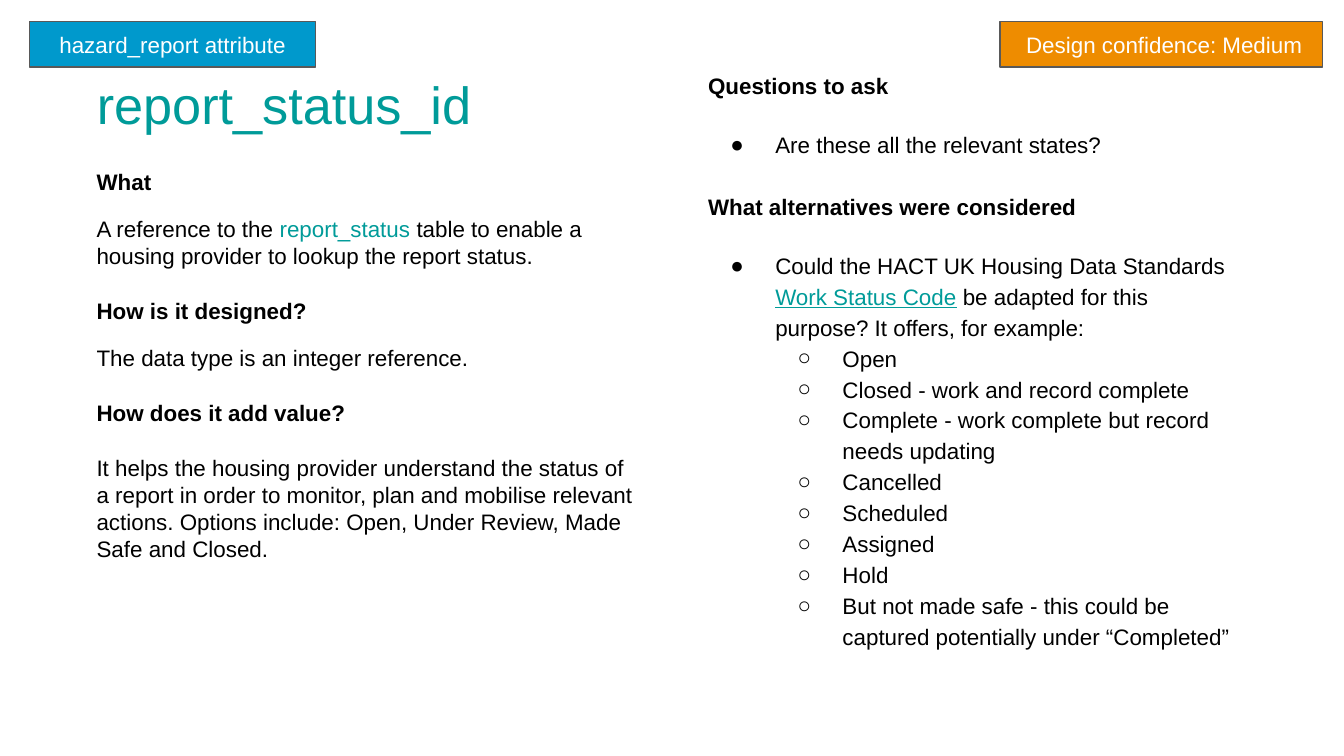
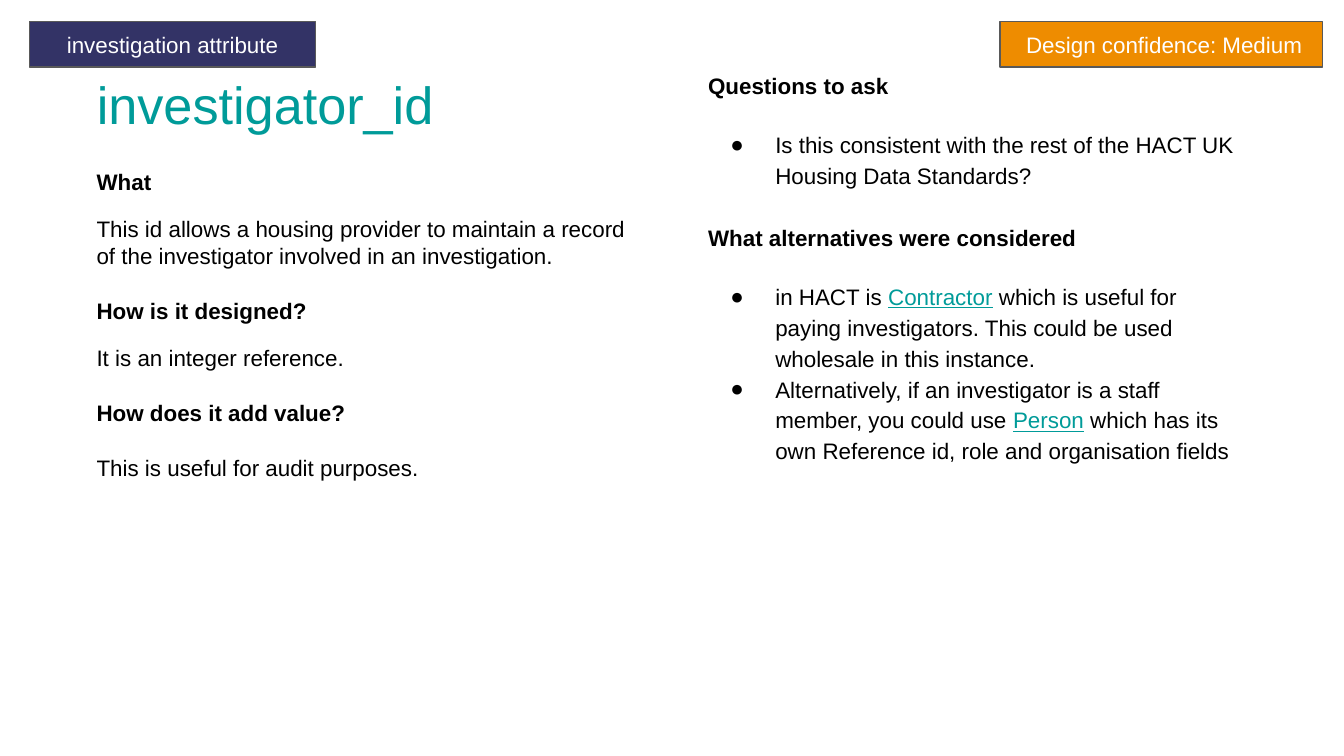
from dataclasses import dataclass

from lxml.etree import SubElement
from pptx import Presentation
from pptx.dml.color import RGBColor
from pptx.enum.shapes import MSO_SHAPE
from pptx.enum.text import MSO_ANCHOR, MSO_AUTO_SIZE, PP_ALIGN
from pptx.oxml.ns import qn
from pptx.util import Pt

FONT = "Arial"
TEXT_SIZE = 12
TITLE_SIZE = 28
INSET = Pt(7.2)
BULLETS = "●○"
BULLET_INDENT = 36
BULLET_HANG = 24
LIST_SPACING = 1.15

BLACK = RGBColor(0x00, 0x00, 0x00)
WHITE = RGBColor(0xFF, 0xFF, 0xFF)
TEAL = RGBColor(0x00, 0x9B, 0x99)
ORANGE = RGBColor(0xEE, 0x8C, 0x00)
BLUE = RGBColor(0x00, 0x99, 0xCC)
NAVY = RGBColor(0x33, 0x33, 0x66)
GREY = RGBColor(0x59, 0x59, 0x59)

TITLE_BOX = (44.64, 31.68, 337, 45.36)
DESCRIPTION_BOX = (44.64, 82.8, 301.68, 247.68)
DISCUSSION_BOX = (372.24, 31.68, 301.68, 239.76)
ENTITY_BOX = (15.84, 11.52, 153.36, 24.48)
CONFIDENCE_BOX = (535.68, 11.52, 172.8, 24.48)


@dataclass
class Attribute:
    name: str
    entity: str
    entity_color: RGBColor
    what: list
    design: list
    value: list
    questions: list
    alternatives: list


# Text pieces alternate between plain and highlighted.
ATTRIBUTES = [
    Attribute(
        name="report_status_id",
        entity="hazard_report attribute",
        entity_color=BLUE,
        what=["A reference to the ", "report_status",
              " table to enable a housing provider to lookup the report status."],
        design=["The data type is an integer reference."],
        value=["It helps the housing provider understand the status of a report in order "
               "to monitor, plan and mobilise relevant actions. Options include: Open, "
               "Under Review, Made Safe and Closed."],
        questions=[(0, ["Are these all the relevant states?"])],
        alternatives=[
            (0, ["Could the HACT UK Housing Data Standards ", "Work Status Code",
                 " be adapted for this purpose? It offers, for example:"]),
            (1, ["Open"]),
            (1, ["Closed - work and record complete"]),
            (1, ["Complete - work complete but record needs updating"]),
            (1, ["Cancelled"]),
            (1, ["Scheduled"]),
            (1, ["Assigned"]),
            (1, ["Hold"]),
            (1, ["But not made safe - this could be captured potentially under “Completed”"]),
        ],
    ),
    Attribute(
        name="investigator_id",
        entity="investigation attribute",
        entity_color=NAVY,
        what=["This id allows a housing provider to maintain a record of the investigator "
              "involved in an investigation."],
        design=["It is an integer reference."],
        value=["This is useful for audit purposes."],
        questions=[(0, ["Is this consistent with the rest of the HACT UK Housing Data Standards?"])],
        alternatives=[
            (0, ["in HACT is ", "Contractor",
                 " which is useful for paying investigators. This could be used wholesale "
                 "in this instance."]),
            (0, ["Alternatively, if an investigator is a staff member, you could use ", "Person",
                 " which has its own Reference id, role and organisation fields"]),
        ],
    ),
]


def format_font(font, color=BLACK, size=TEXT_SIZE, bold=False):
    font.name = FONT
    font.size = Pt(size)
    font.bold = bold
    font.color.rgb = color


def format_frame(text_frame, anchor=MSO_ANCHOR.TOP):
    text_frame.word_wrap = True
    text_frame.auto_size = MSO_AUTO_SIZE.NONE
    text_frame.vertical_anchor = anchor
    text_frame.margin_left = text_frame.margin_right = INSET
    text_frame.margin_top = text_frame.margin_bottom = INSET


def add_column(slide, box):
    text_frame = slide.shapes.add_textbox(*map(Pt, box)).text_frame
    format_frame(text_frame)
    return text_frame


def add_paragraph(text_frame, pieces, before=0, bold=False, underline=False):
    first = text_frame.paragraphs[0]
    paragraph = text_frame.add_paragraph() if first.runs else first
    paragraph.space_before = Pt(before)
    for index, piece in enumerate(pieces):
        highlighted = index % 2 == 1
        run = paragraph.add_run()
        run.text = piece
        format_font(run.font, TEAL if highlighted else BLACK, bold=bold)
        if highlighted and underline:
            run.font.underline = True
    return paragraph


def add_bullet(paragraph, level):
    paragraph.level = level
    paragraph.line_spacing = LIST_SPACING
    properties = paragraph._p.get_or_add_pPr()
    properties.set("marL", str(Pt(BULLET_INDENT * (level + 1))))
    properties.set("indent", str(-Pt(BULLET_HANG)))
    color = SubElement(properties, qn("a:buClr"))
    SubElement(color, qn("a:srgbClr"), val=str(BLACK))
    SubElement(properties, qn("a:buFont"), typeface=FONT)
    SubElement(properties, qn("a:buChar"), char=BULLETS[level])


def add_list(text_frame, items):
    for index, (level, pieces) in enumerate(items):
        before = 15 if index == 0 else 0
        add_bullet(add_paragraph(text_frame, pieces, before, underline=True), level)


def add_title(slide, box, name):
    title = slide.shapes.title
    title.left, title.top, title.width, title.height = map(Pt, box)
    title.text_frame.text = name
    format_frame(title.text_frame)
    paragraph = title.text_frame.paragraphs[0]
    paragraph.alignment = PP_ALIGN.LEFT
    format_font(paragraph.runs[0].font, TEAL, TITLE_SIZE)


def add_tag(slide, box, text, color):
    tag = slide.shapes.add_shape(MSO_SHAPE.RECTANGLE, *map(Pt, box))
    tag.shadow.inherit = False
    tag.fill.solid()
    tag.fill.fore_color.rgb = color
    tag.line.color.rgb = GREY
    tag.line.width = Pt(0.75)
    tag.text_frame.text = text
    format_frame(tag.text_frame, MSO_ANCHOR.MIDDLE)
    paragraph = tag.text_frame.paragraphs[0]
    paragraph.alignment = PP_ALIGN.CENTER
    format_font(paragraph.runs[0].font, WHITE)


def add_description(slide, box, attribute):
    text_frame = add_column(slide, box)
    sections = [
        ("What", 0, attribute.what, 11),
        ("How is it designed?", 15, attribute.design, 11),
        ("How does it add value?", 15, attribute.value, 15),
    ]
    for heading, heading_gap, pieces, text_gap in sections:
        add_paragraph(text_frame, [heading], heading_gap, bold=True)
        add_paragraph(text_frame, pieces, text_gap)


def add_discussion(slide, box, attribute):
    text_frame = add_column(slide, box)
    add_paragraph(text_frame, ["Questions to ask"], bold=True)
    add_list(text_frame, attribute.questions)
    heading = add_paragraph(text_frame, ["What alternatives were considered"], 16.5, bold=True)
    heading.line_spacing = LIST_SPACING
    add_list(text_frame, attribute.alternatives)


def add_attribute_slide(presentation, attribute):
    slide = presentation.slides.add_slide(presentation.slide_layouts.get_by_name("Title Only"))
    add_title(slide, TITLE_BOX, attribute.name)
    add_description(slide, DESCRIPTION_BOX, attribute)
    add_discussion(slide, DISCUSSION_BOX, attribute)
    add_tag(slide, CONFIDENCE_BOX, " Design confidence: Medium", ORANGE)
    add_tag(slide, ENTITY_BOX, attribute.entity, attribute.entity_color)


def main():
    presentation = Presentation()
    presentation.slide_width = Pt(720)
    presentation.slide_height = Pt(405)
    for attribute in ATTRIBUTES:
        add_attribute_slide(presentation, attribute)
    presentation.save("out.pptx")


if __name__ == "__main__":
    main()
